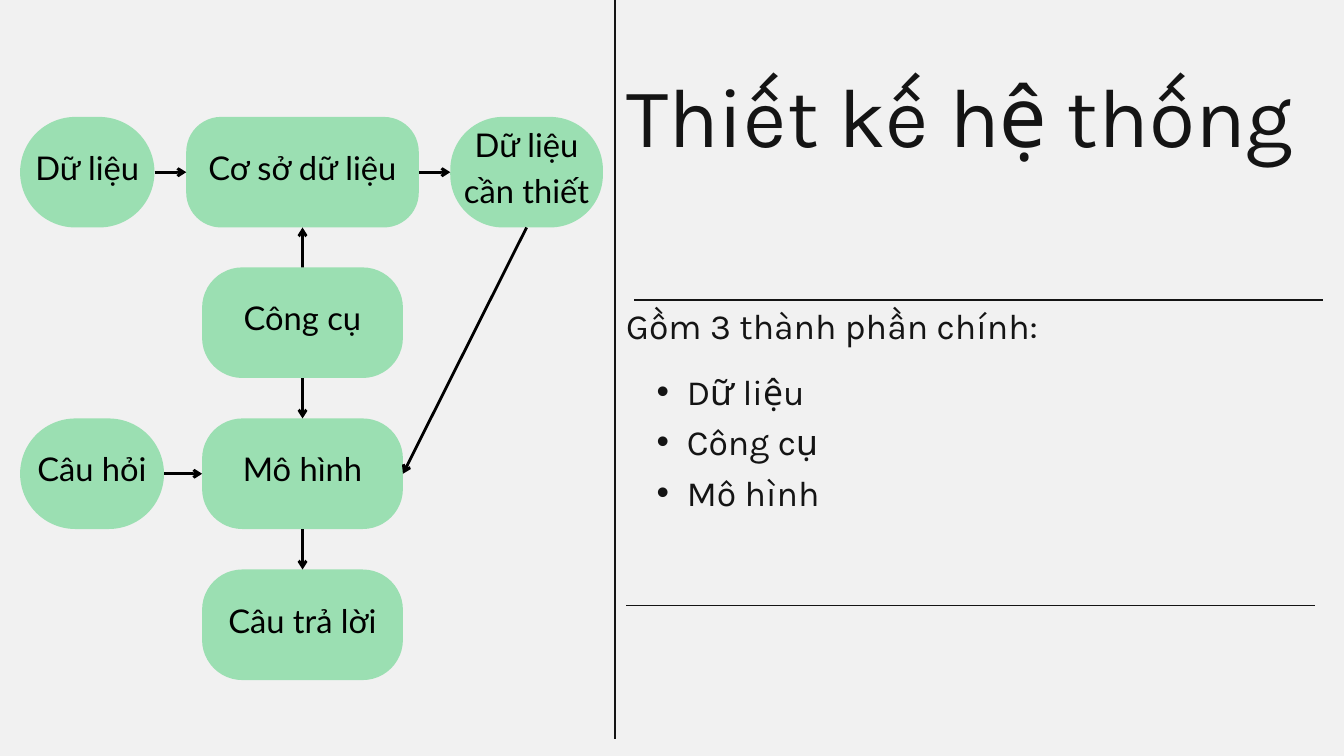
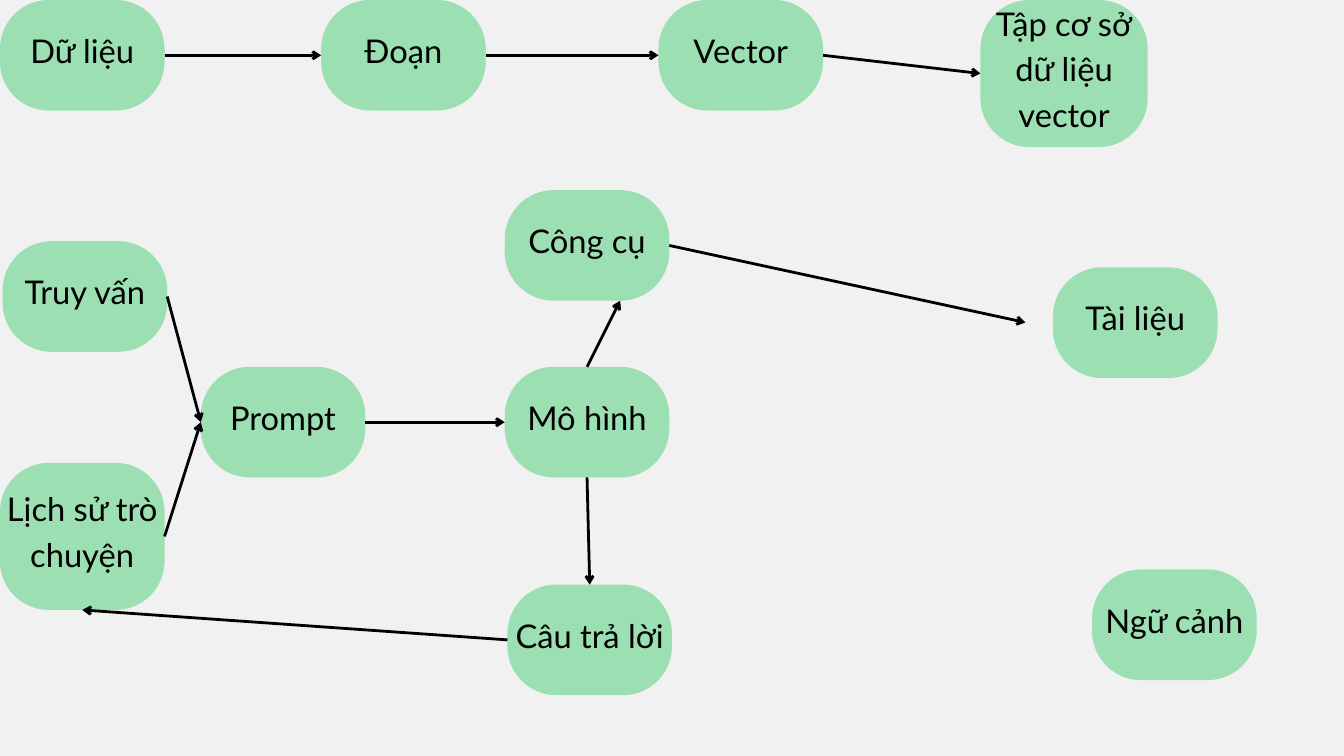
from dataclasses import dataclass

from lxml.etree import SubElement
from pptx import Presentation
from pptx.dml.color import RGBColor
from pptx.enum.shapes import MSO_CONNECTOR, MSO_SHAPE
from pptx.enum.text import MSO_ANCHOR, MSO_AUTO_SIZE, PP_ALIGN
from pptx.oxml.ns import qn
from pptx.util import Cm, Pt

TOP, LEFT, BOTTOM, RIGHT = range(4)
TITLE_ONLY, BLANK = 5, 6


@dataclass(frozen=True)
class Type:
    font: str
    size: float
    lead: float
    color: RGBColor


@dataclass(frozen=True)
class Theme:
    paper = RGBColor(0xF1, 0xF1, 0xF1)
    green = RGBColor(0x9B, 0xDF, 0xB2)
    ink = RGBColor(0x14, 0x14, 0x14)
    black = RGBColor(0, 0, 0)
    title = Type("Karla", 90, 108, ink)
    lead = Type("Karla", 38, 49.4, ink)
    item = Type("Karla", 38, 54.3, ink)
    node = Type("Lato", 35, 49, black)
    arrow = 3
    rule = 2
    thin = 1.5


class Deck:
    def __init__(self, theme):
        self.theme = theme
        self.show = Presentation()
        self.show.slide_width = Cm(50.8)
        self.show.slide_height = Cm(28.58)
        fill = self.show.slide_master.background.fill
        fill.solid()
        fill.fore_color.rgb = theme.paper
        self.slide = None

    def page(self, layout):
        self.slide = self.show.slides.add_slide(self.show.slide_layouts[layout])

    def style(self, frame, text, kind, align=PP_ALIGN.LEFT, bullet=False):
        frame.text = text
        frame.auto_size = MSO_AUTO_SIZE.NONE
        for para in frame.paragraphs:
            para.alignment = align
            para.line_spacing = Pt(kind.lead)
            para.space_before = Pt(0)
            if bullet:
                self.bullet(para)
            for run in para.runs:
                run.font.name = kind.font
                run.font.size = Pt(kind.size)
                run.font.color.rgb = kind.color

    def bullet(self, para):
        para.level = 1
        props = para._p.get_or_add_pPr()
        props.set("marL", str(Cm(2.29)))
        props.set("indent", str(Cm(-1.14)))
        SubElement(props, qn("a:buFont"), typeface="Arial")
        SubElement(props, qn("a:buChar"), char="•")

    def place(self, shape, x, y, width, height):
        shape.left, shape.top = Cm(x), Cm(y)
        shape.width, shape.height = Cm(width), Cm(height)
        frame = shape.text_frame
        frame.word_wrap = True
        frame.vertical_anchor = MSO_ANCHOR.TOP
        frame.margin_left = frame.margin_right = 0
        frame.margin_top = frame.margin_bottom = 0
        return frame

    def title(self, text, *box):
        frame = self.place(self.slide.shapes.title, *box)
        self.style(frame, text, self.theme.title)

    def text(self, text, kind, *box, bullet=False):
        shape = self.slide.shapes.add_textbox(0, 0, 0, 0)
        self.style(self.place(shape, *box), text, kind, bullet=bullet)

    def node(self, text, x, y, width=6.22, height=4.18, radius=1.85):
        shape = self.slide.shapes.add_shape(
            MSO_SHAPE.ROUNDED_RECTANGLE, Cm(x), Cm(y), Cm(width), Cm(height))
        shape.adjustments[0] = radius / min(width, height)
        shape.shadow.inherit = False
        shape.fill.solid()
        shape.fill.fore_color.rgb = self.theme.green
        shape.line.fill.background()
        frame = shape.text_frame
        frame.word_wrap = False
        frame.vertical_anchor = MSO_ANCHOR.MIDDLE
        frame.margin_left = frame.margin_right = frame.margin_top = 0
        frame.margin_bottom = Cm(0.61)
        self.style(frame, text, self.theme.node, PP_ALIGN.CENTER)
        return shape

    def line(self, start, end, color, weight):
        points = [Cm(value) for value in (*start, *end)]
        link = self.slide.shapes.add_connector(MSO_CONNECTOR.STRAIGHT, *points)
        link.line.color.rgb = color
        link.line.width = Pt(weight)
        SubElement(link._element.spPr, qn("a:effectLst"))
        return link

    def arrow(self, first, side, last, into=LEFT):
        free = isinstance(last, tuple)
        end = last if free else (0, 0)
        link = self.line((0, 0), end, self.theme.black, self.theme.arrow)
        link.begin_connect(first, side)
        if not free:
            link.end_connect(last, into)
        edge = link._element.spPr.find(qn("a:ln"))
        SubElement(edge, qn("a:tailEnd"), type="arrow")


def design(deck):
    theme = deck.theme
    deck.page(TITLE_ONLY)
    left, width = 23.67, 26.34
    deck.title("Thiết kế hệ thống", left, 2.41, width, 3.84)
    deck.text("Gồm 3 thành phần chính:", theme.lead, left, 11.35, width, 1.68)
    deck.text("Dữ liệu\nCông cụ\nMô hình", theme.item,
              left, 13.67, width, 5.61, bullet=True)
    for x, y in ((left, 22.89), (23.98, 11.33)):
        deck.line((x, y), (x + 26.04, y), theme.ink, theme.rule)
    deck.line((23.24, 0), (23.24, 27.94), theme.ink, theme.thin)

    high, low, step = 4.42, 10.11, 5.71
    data = deck.node("Dữ liệu", 0.76, high, 5.08, radius=2.09)
    base = deck.node("Cơ sở dữ liệu", 7.04, high, 8.79, radius=1.32)
    need = deck.node("Dữ liệu\ncần thiết", 17.02, high, 5.77, radius=2)
    tool, model, reply = [
        deck.node(name, 7.64, low + step * row, 7.59, radius=1.52)
        for row, name in enumerate(("Công cụ", "Mô hình", "Câu trả lời"))]
    ask = deck.node("Câu hỏi", 0.76, low + step, 5.44, radius=2.09)

    for first, last in ((data, base), (base, need), (ask, model)):
        deck.arrow(first, RIGHT, last)
    for first, last in ((tool, model), (model, reply)):
        deck.arrow(first, BOTTOM, last, TOP)
    deck.arrow(tool, TOP, base, BOTTOM)
    deck.arrow(need, BOTTOM, model, RIGHT)


def flow(deck):
    deck.page(BLANK)
    tall = 5.56
    data = deck.node("Dữ liệu", 0, 0)
    chunk = deck.node("Đoạn", 12.14, 0)
    vector = deck.node("Vector", 24.89, 0)
    store = deck.node("Tập cơ sở\vdữ liệu\vvector", 37.06, 0, 6.32, tall)
    query = deck.node("Truy vấn", 0.1, 9.12)
    past = deck.node("Lịch sử trò\vchuyện", 0, 17.5, height=tall)
    prompt = deck.node("Prompt", 7.59, 13.87)
    model = deck.node("Mô hình", 19.08, 13.87)
    reply = deck.node("Câu trả lời", 19.18, 22.1)
    tool = deck.node("Công cụ", 19.08, 7.19)
    deck.node("Tài liệu", 39.8, 10.11)
    deck.node("Ngữ cảnh", 41.28, 21.53)

    for first, last in ((data, chunk), (chunk, vector), (vector, store),
                        (query, prompt), (past, prompt), (prompt, model)):
        deck.arrow(first, RIGHT, last)
    deck.arrow(model, BOTTOM, reply, TOP)
    deck.arrow(reply, LEFT, past, BOTTOM)
    deck.arrow(model, TOP, (23.44, 11.37))
    deck.arrow(tool, RIGHT, (38.76, 12.19))


def main():
    deck = Deck(Theme())
    design(deck)
    flow(deck)
    deck.show.save("out.pptx")


if __name__ == "__main__":
    main()
